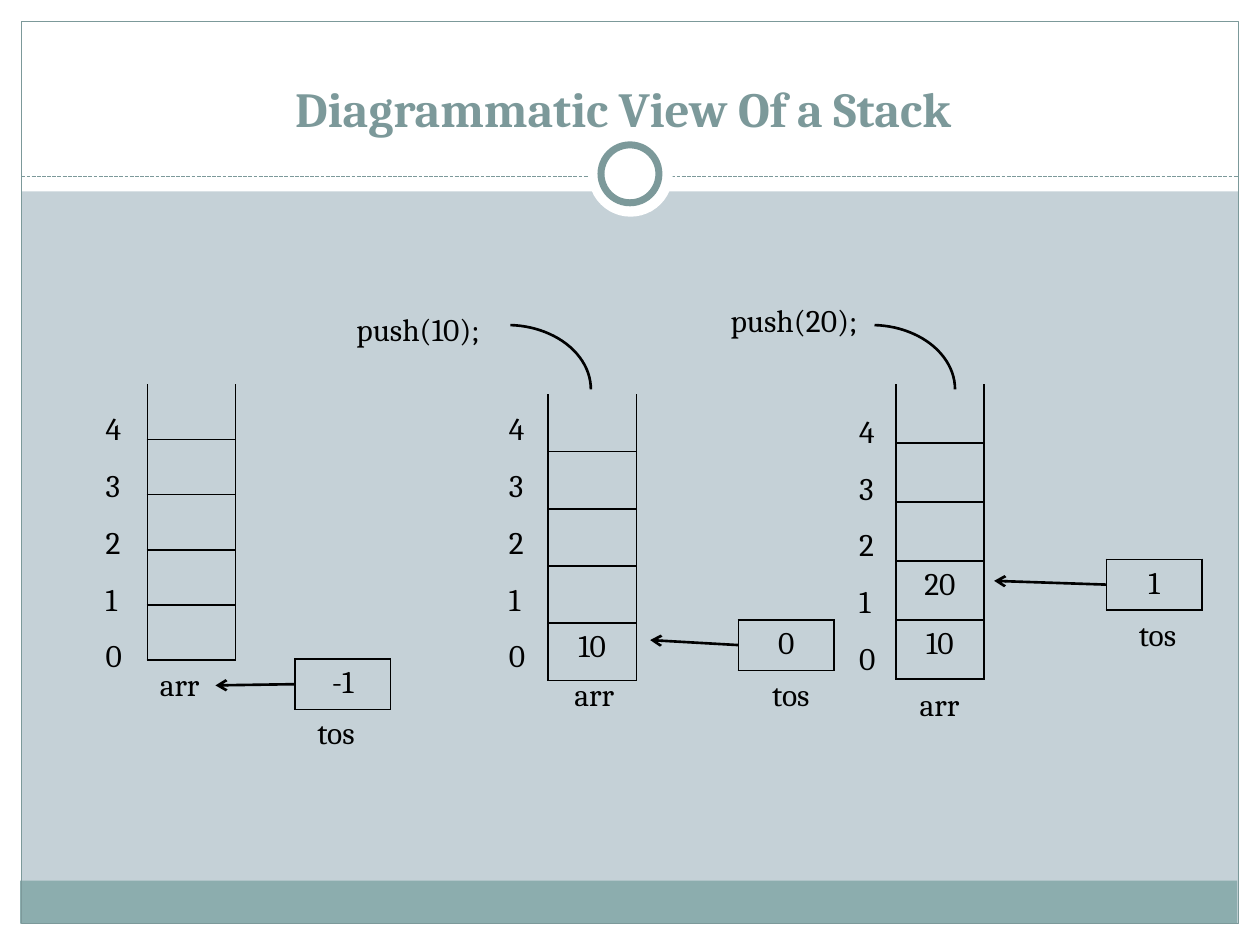
import pptx
import pptx.dml.color
import pptx.enum.dml
import pptx.enum.shapes
import pptx.enum.text
import pptx.oxml
import pptx.oxml.ns
import pptx.util
from lxml import etree

PX = 9144  # EMU per px, 100 px to the inch
FONT = "Cambria"
WHITE = pptx.dml.color.RGBColor(0xFF, 0xFF, 0xFF)
BLACK = pptx.dml.color.RGBColor(0, 0, 0)
TEAL = pptx.dml.color.RGBColor(0x7C, 0x99, 0x9A)
FOOTER = pptx.dml.color.RGBColor(0x8C, 0xAD, 0xAE)
BACKGROUND = pptx.dml.color.RGBColor(0xC5, 0xD1, 0xD7)
SHAPES = pptx.enum.shapes.MSO_SHAPE
CENTER = pptx.enum.text.PP_ALIGN.CENTER

presentation = pptx.Presentation()
presentation.slide_width = 1000 * PX
presentation.slide_height = 750 * PX
slide = presentation.slides.add_slide(presentation.slide_layouts[5])
slide.background.fill.solid()
slide.background.fill.fore_color.rgb = BACKGROUND


def style_paragraph(paragraph):
    paragraph.font.name = FONT
    paragraph.font.size = pptx.util.Pt(18)
    paragraph.font.color.rgb = BLACK


def add_cells(left, top, width, height, values, open_top):
    frame = slide.shapes.add_table(
        len(values), 1, left * PX, top * PX, width * PX, height * PX)
    table = frame.table
    table.first_row = table.horz_banding = False
    table.columns[0].width = width * PX
    for index, value in enumerate(values):
        table.rows[index].height = height * PX // len(values)
        cell = table.cell(index, 0)
        cell.text_frame.text = value
        cell.text_frame.paragraphs[0].alignment = CENTER
        style_paragraph(cell.text_frame.paragraphs[0])
        properties = cell._tc.get_or_add_tcPr()
        for side in "LRTB":
            border = etree.SubElement(
                properties, pptx.oxml.ns.qn("a:ln" + side), w="12700")
            if side == "T" and index == 0 and open_top:
                etree.SubElement(border, pptx.oxml.ns.qn("a:noFill"))
            else:
                fill = etree.SubElement(border, pptx.oxml.ns.qn("a:solidFill"))
                etree.SubElement(
                    fill, pptx.oxml.ns.qn("a:srgbClr"), val=str(BLACK))
        cell.fill.background()


# Frame: white margins, footer band, outline, divider and ring
frame_parts = [
    (SHAPES.RECTANGLE, 0, 733, 1000, 17, WHITE, None, 0),
    (SHAPES.RECTANGLE, 0, 0, 1000, 152, WHITE, None, 0),
    (SHAPES.RECTANGLE, 0, 0, 17, 750, WHITE, None, 0),
    (SHAPES.RECTANGLE, 983, 0, 17, 750, WHITE, None, 0),
    (SHAPES.RECTANGLE, 16, 699, 966, 34, FOOTER, None, 0),
    (SHAPES.RECTANGLE, 17, 17, 966, 716, None, TEAL, 0.75),
    (SHAPES.OVAL, 467, 105, 67, 67, WHITE, None, 0),
    (SHAPES.OVAL, 477, 115, 46, 46, WHITE, TEAL, 4),
]
# Curves from each push call into its stack
push_curves = [(SHAPES.ARC, left, 258, 133, 102, None, BLACK, 1.5)
               for left in (336, 625)]
for kind, left, top, width, height, fill, line, weight in frame_parts + push_curves:
    shape = slide.shapes.add_shape(
        kind, left * PX, top * PX, width * PX, height * PX)
    shape.shadow.inherit = False
    if fill is None:
        shape.fill.background()
    else:
        shape.fill.solid()
        shape.fill.fore_color.rgb = fill
    if line is None:
        shape.line.fill.background()
    else:
        shape.line.color.rgb = line
        shape.line.width = pptx.util.Pt(weight)
    if kind == SHAPES.ARC:
        shape.adjustments[0] = 163.76
        shape.adjustments[1] = 0

# Divider, then the arrows from each tos box to its stack
divider = (17, 140, 983, 140, TEAL, 0.75)
arrows = [(234, 543, 171, 544, BLACK, 1.5),
          (586, 512, 516, 508, BLACK, 1.5),
          (878, 464, 789, 461, BLACK, 1.5)]
for x1, y1, x2, y2, color, weight in [divider] + arrows:
    connector = slide.shapes.add_connector(
        pptx.enum.shapes.MSO_CONNECTOR.STRAIGHT,
        x1 * PX, y1 * PX, x2 * PX, y2 * PX)
    connector.line.color.rgb = color
    connector.line.width = pptx.util.Pt(weight)
    if color == TEAL:
        connector.line.dash_style = pptx.enum.dml.MSO_LINE.SQUARE_DOT
        # Keep the ring in front of the divider
        ring_halo = slide.shapes[7]._element
        ring_halo.addprevious(connector._element)
    else:
        etree.SubElement(connector.line._get_or_add_ln(),
                         pptx.oxml.ns.qn("a:tailEnd"), type="arrow")
    etree.SubElement(connector._element.spPr, pptx.oxml.ns.qn("a:effectLst"))

# Title, brought in front of the white band
title = slide.shapes.title
title.left, title.top, title.width, title.height = (
    28 * PX, 31 * PX, 933 * PX, 83 * PX)
title.text_frame.text = "Diagrammatic View Of a Stack"
title.text_frame.vertical_anchor = pptx.enum.text.MSO_ANCHOR.BOTTOM
title_paragraph = title.text_frame.paragraphs[0]
title_paragraph.alignment = CENTER
title_font = title_paragraph.runs[0].font
title_font.name = FONT
title_font.size = pptx.util.Pt(28)
title_font.bold = True
title_font.color.rgb = TEAL
slide.shapes._spTree.append(title._element)

# Stacks, open at the top
add_cells(117, 305, 70, 219, ["", "", "", "", ""], True)
add_cells(435, 313, 70, 227, ["", "", "", "", "10"], True)
add_cells(711, 305, 70, 234, ["", "", "", "20", "10"], True)

# Top-of-stack boxes
for left, top, value in [(234, 523, "-1"), (586, 492, "0"), (878, 444, "1")]:
    add_cells(left, top, 76, 40, [value], False)

# Labels and index columns
indexes = "4\n3\n2\n1\n0"
labels = [
    (117, 523, 54, 40, "arr"), (446, 531, 54, 40, "arr"),
    (720, 539, 54, 40, "arr"),
    (242, 561, 54, 40, "tos"), (603, 531, 54, 40, "tos"),
    (894, 483, 54, 40, "tos"),
    (273, 241, 128, 40, "push(10);"), (570, 234, 131, 40, "push(20);"),
    (74, 305, 36, 232, indexes), (394, 305, 36, 232, indexes),
    (672, 307, 36, 232, indexes),
]
for left, top, width, height, text in labels:
    box = slide.shapes.add_textbox(
        left * PX, top * PX, width * PX, height * PX)
    box.text_frame.word_wrap = False
    box.text_frame.text = text
    for paragraph in box.text_frame.paragraphs:
        style_paragraph(paragraph)
        if text == indexes:
            paragraph.line_spacing = 1.5

presentation.save("out.pptx")
